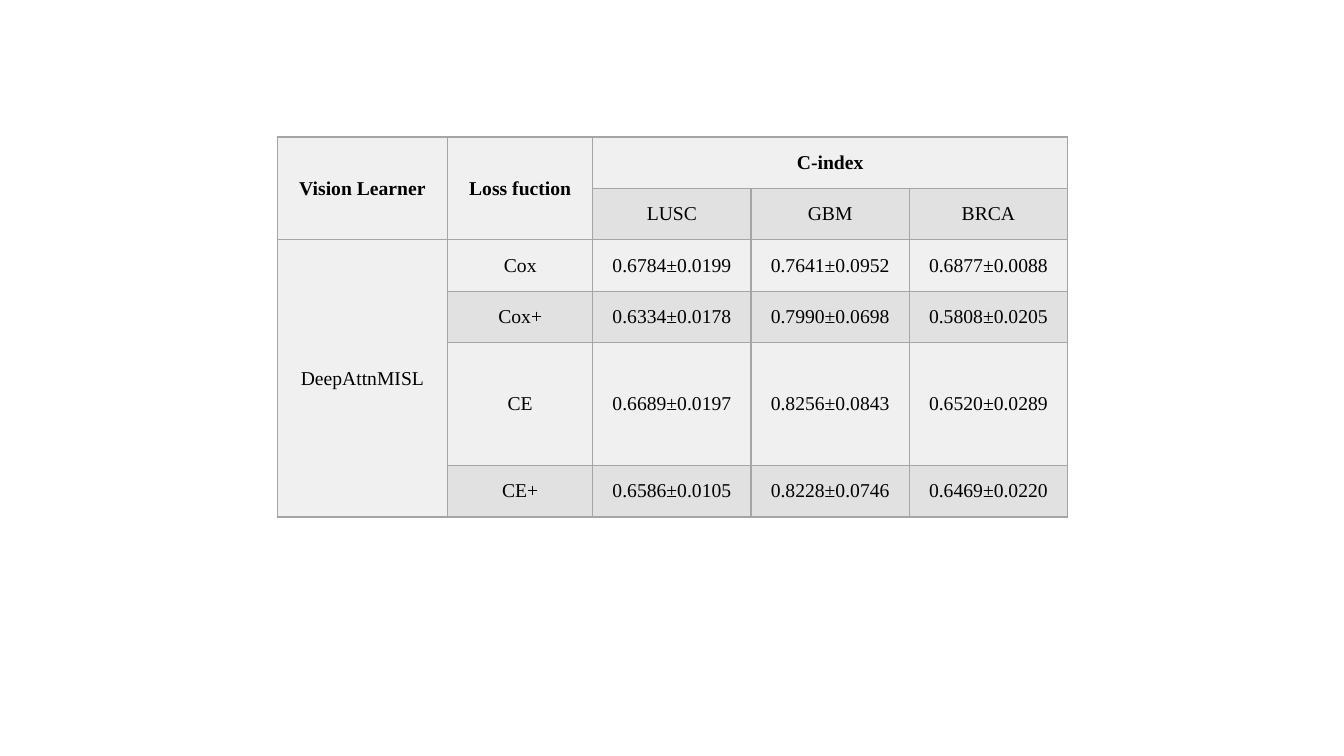
from lxml import etree
from pptx import Presentation
from pptx.dml.color import RGBColor
from pptx.enum import text
from pptx.oxml import ns
from pptx.util import Inches, Pt

LIGHT = RGBColor(0xF0, 0xF0, 0xF0)
DARK = RGBColor(0xE1, 0xE1, 0xE1)
BORDER = RGBColor(0xA5, 0xA5, 0xA5)
INK = RGBColor(0, 0, 0)
FONT = "Times New Roman"

COLUMN_WIDTHS = [1.69, 1.44, 1.57, 1.57, 1.57]
ROW_HEIGHTS = [0.51, 0.51, 0.51, 0.51, 1.22, 0.51]
# Empty strings are cells covered by a merge
RESULTS = [
    ["Vision Learner", "Loss fuction", "C-index", "", ""],
    ["", "", "LUSC", "GBM", "BRCA"],
    ["DeepAttnMISL", "Cox", "0.6784±0.0199", "0.7641±0.0952", "0.6877±0.0088"],
    ["", "Cox+", "0.6334±0.0178", "0.7990±0.0698", "0.5808±0.0205"],
    ["", "CE", "0.6689±0.0197", "0.8256±0.0843", "0.6520±0.0289"],
    ["", "CE+", "0.6586±0.0105", "0.8228±0.0746", "0.6469±0.0220"],
]
# First and last cell of each merged area, as (row, column)
MERGES = [((0, 0), (1, 0)), ((0, 1), (1, 1)), ((0, 2), (0, 4)), ((2, 0), (5, 0))]


def add_borders(cell):
    """Draw a 1 pt line on all four sides; lines precede the fill in tcPr."""
    properties = cell._tc.get_or_add_tcPr()
    for index, side in enumerate(("lnL", "lnR", "lnT", "lnB")):
        line = etree.Element(ns.qn("a:" + side), w=str(Pt(1)))
        fill = etree.SubElement(line, ns.qn("a:solidFill"))
        etree.SubElement(fill, ns.qn("a:srgbClr"), val=str(BORDER))
        properties.insert(index, line)


def style_cell(cell, wording, fill, bold):
    cell.fill.solid()
    cell.fill.fore_color.rgb = fill
    cell.vertical_anchor = text.MSO_ANCHOR.MIDDLE
    cell.text = wording
    para = cell.text_frame.paragraphs[0]
    para.alignment = text.PP_ALIGN.CENTER
    para.font.name = FONT
    para.font.size = Pt(14)
    para.font.bold = bold
    para.font.color.rgb = INK
    add_borders(cell)


def add_results_table(page, left, top, width, height):
    frame = page.shapes.add_table(
        len(RESULTS), len(COLUMN_WIDTHS),
        Inches(left), Inches(top), Inches(width), Inches(height))
    table = frame.table

    # Share the box out in proportion to the column widths and row heights
    for column, share in zip(table.columns, COLUMN_WIDTHS):
        column.width = Inches(width * share / sum(COLUMN_WIDTHS))
    for row, share in zip(table.rows, ROW_HEIGHTS):
        row.height = Inches(height * share / sum(ROW_HEIGHTS))

    # Banded cells with a bold heading row
    for row_index, wordings in enumerate(RESULTS):
        fill = DARK if row_index % 2 else LIGHT
        for column_index, wording in enumerate(wordings):
            style_cell(table.cell(row_index, column_index), wording, fill,
                       bold=row_index == 0)
    for first, last in MERGES:
        table.cell(*first).merge(table.cell(*last))


deck = Presentation()
deck.slide_width, deck.slide_height = Inches(13.33), Inches(7.5)
results_page = deck.slides.add_slide(deck.slide_layouts[6])
add_results_table(results_page, 2.75, 1.36, sum(COLUMN_WIDTHS), sum(ROW_HEIGHTS))
deck.save("out.pptx")
